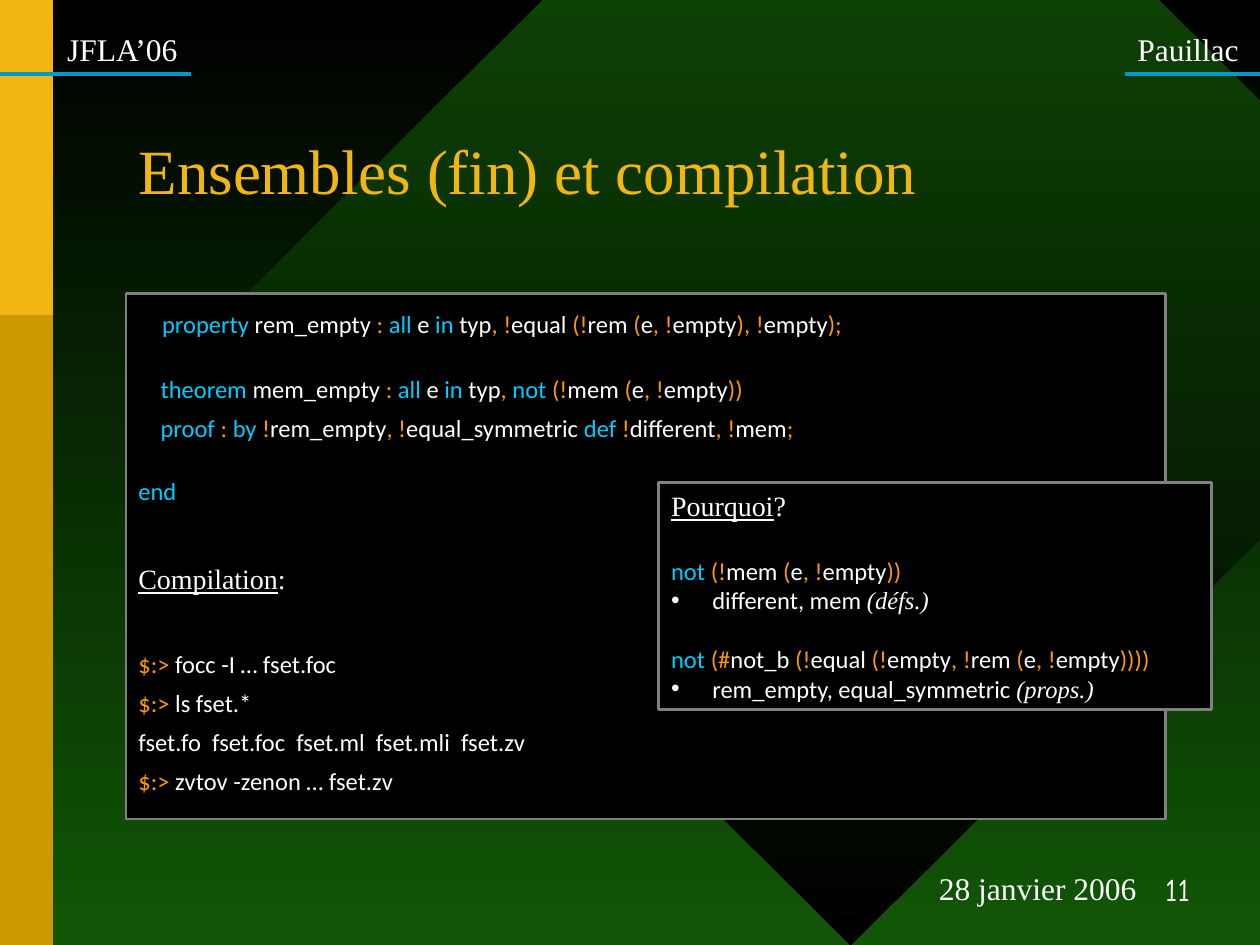
from itertools import groupby

from lxml.etree import SubElement
from pptx import Presentation
from pptx.dml.color import RGBColor
from pptx.enum.shapes import MSO_CONNECTOR, MSO_SHAPE
from pptx.enum.text import MSO_ANCHOR, MSO_AUTO_SIZE, PP_ALIGN
from pptx.oxml.ns import qn
from pptx.util import Cm, Pt

SERIF, SANS = "Times New Roman", "Calibri"
WHITE, BLACK, GREY = "FFFFFF", "000000", "808080"
GREEN, GOLD, DARK_GOLD, BLUE = "115606", "F1B60F", "CC9900", "0099CC"
KEYWORD, SYMBOL = "00CCFF", "FF9900"
KEYWORDS = {"property", "theorem", "proof", "all", "in", "not", "by", "def", "end"}
SYMBOLS = set(":,!();#$>")

LISTING = [
    (" rem_empty : all e in typ, !equal (!rem (e, !empty), !empty);", 0),
    ("    theorem mem_empty : all e in typ, not (!mem (e, !empty))", 24.5),
    ("    proof : by !rem_empty, !equal_symmetric def !different, !mem;", 10.5),
    ("end", 24),
]
COMMANDS = [
    ("$:> focc -I … fset.foc", 36),
    ("$:> ls fset.*", 10.5),
    ("fset.fo  fset.foc  fset.ml  fset.mli  fset.zv", 10.5),
    ("$:> zvtov -zenon … fset.zv", 10.5),
]
REASONS = [
    ("not (!mem (e, !empty))", 19, "different, mem ", "(défs.)"),
    ("not (#not_b (!equal (!empty, !rem (e, !empty))))", 17,
     "rem_empty, equal_symmetric ", "(props.)"),
]


def colour(value):
    """Turn a hex string into a colour."""
    return RGBColor.from_string(value)


def set_gradient(fill, first, last):
    """Fill from top to bottom with two colours."""
    fill.gradient()
    fill.gradient_angle = 270
    for stop, value in zip(fill.gradient_stops, (first, last)):
        stop.color.rgb = colour(value)


def add_run(para, text, font=SANS, size=14, value=WHITE, underline=False, italic=False):
    """Append a formatted run."""
    span = para.add_run()
    span.text = text
    span.font.name, span.font.size = font, Pt(size)
    span.font.color.rgb = colour(value)
    if underline:
        span.font.underline = True
    if italic:
        span.font.italic = True


def add_code(para, code):
    """Append code, with its keywords and symbols coloured."""
    def kind(char):
        return "space" if char == " " else "symbol" if char in SYMBOLS else "word"

    for name, chars in groupby(code, kind):
        token = "".join(chars)
        value = SYMBOL if name == "symbol" else KEYWORD if token in KEYWORDS else WHITE
        add_run(para, token, value=value)


def add_heading(para, word, mark):
    """Append an underlined word and its punctuation mark."""
    add_run(para, word, SERIF, 16, underline=True)
    add_run(para, mark, SERIF, 16)


def next_para(frame, before, spacing=None):
    """Return the first paragraph if it is unused, or else a new one."""
    para = frame.paragraphs[0] if not frame.paragraphs[0].runs else frame.add_paragraph()
    para.alignment = PP_ALIGN.LEFT
    para.space_before = Pt(before)
    if spacing:
        para.line_spacing = spacing
    return para


def add_block(page, box, preset, value=None):
    """Add a shape without outline or shadow."""
    shape = page.shapes.add_shape(preset, *map(Cm, box))
    shape.shadow.inherit = False
    shape.line.fill.background()
    if value:
        shape.fill.solid()
        shape.fill.fore_color.rgb = colour(value)
    return shape


def add_panel(page, box):
    """Add a black panel with a grey border and return its text frame."""
    shape = add_block(page, box, MSO_SHAPE.RECTANGLE, BLACK)
    shape.line.color.rgb = colour(GREY)
    shape.line.width = Pt(1.5)
    frame = shape.text_frame
    frame.word_wrap = True
    frame.vertical_anchor = MSO_ANCHOR.TOP
    return frame


def add_label(page, box, text, align=PP_ALIGN.CENTER, font=SERIF):
    """Add a one-line label without side margins."""
    frame = page.shapes.add_textbox(*map(Cm, box)).text_frame
    frame.word_wrap = True
    frame.margin_left = frame.margin_right = 0
    frame.paragraphs[0].alignment = align
    add_run(frame.paragraphs[0], text, font, 18)
    return frame


def add_backdrop(page, box):
    """Draw the background, the diamond and the gold side band."""
    left, top, width, height = box
    set_gradient(page.background.fill, BLACK, GREEN)
    diamond = add_block(page, (left + 4.45, top - 6.15, width, height + 6.15), MSO_SHAPE.DIAMOND)
    set_gradient(diamond.fill, GREEN, BLACK)
    for part, value in ((height, DARK_GOLD), (height / 3, GOLD)):
        add_block(page, (left, top, 1.07, part), MSO_SHAPE.RECTANGLE, value)


def add_header(page, box, text, text_left, text_width):
    """Add a corner label underlined by a blue rule."""
    left, top, width, height = box
    add_label(page, (left + text_left, top, text_width, height), text)
    bottom = top + height
    rule = page.shapes.add_connector(
        MSO_CONNECTOR.STRAIGHT, *map(Cm, (left, bottom, left + width, bottom)))
    rule.line.color.rgb = colour(BLUE)
    rule.line.width = Pt(2.25)
    SubElement(rule._element.spPr, qn("a:effectLst"))


def add_title(page, box, text):
    """Place and format the title above the backdrop."""
    title = page.shapes.title
    title._element.getparent().append(title._element)
    title.left, title.top, title.width, title.height = map(Cm, box)
    frame = title.text_frame
    frame.auto_size = MSO_AUTO_SIZE.NONE
    frame.vertical_anchor = MSO_ANCHOR.MIDDLE
    add_run(next_para(frame, 0, 0.85), text, SERIF, 36, GOLD)


def add_listing(page, box):
    """Add the source code and the compilation commands."""
    frame = add_panel(page, box)
    frame.margin_top = Cm(0.33)
    for code, before in LISTING:
        para = next_para(frame, before, 0.7)
        if before == 0:
            add_run(para, "   ", size=20)
            add_run(para, "property", value=KEYWORD)
        add_code(para, code)
    add_heading(next_para(frame, 38, 0.7), "Compilation", ":")
    for code, before in COMMANDS:
        add_code(next_para(frame, before, 0.7), code)


def add_explanation(page, box):
    """Add the panel that explains the proof."""
    frame = add_panel(page, box)
    add_heading(next_para(frame, 0), "Pourquoi", "?")
    for code, before, names, note in REASONS:
        add_code(next_para(frame, before), code)
        para = next_para(frame, 0)
        properties = para._p.get_or_add_pPr()
        properties.set("marL", str(Cm(0.83)))
        properties.set("indent", str(-Cm(0.83)))
        SubElement(properties, qn("a:buFont"), typeface="Arial")
        SubElement(properties, qn("a:buChar"), char="•")
        add_run(para, names)
        add_run(para, note, SERIF, italic=True)


def add_number(page, box, text):
    """Add the slide number at the bottom right."""
    frame = add_label(page, box, text, PP_ALIGN.RIGHT, "Comic Neue")
    frame.margin_right = Cm(0.78)
    frame.vertical_anchor = MSO_ANCHOR.BOTTOM


def main():
    """Build the slide and save the deck."""
    deck = Presentation()
    deck.slide_width, deck.slide_height = Cm(25.4), Cm(19.05)
    page = deck.slides.add_slide(deck.slide_layouts[5])
    add_backdrop(page, (0, 0, 25.4, 19.05))
    add_label(page, (18.67, 17.4, 4.5, 1.02), "28 janvier 2006")
    add_header(page, (0, 0.48, 3.86, 1.02), "JFLA’06", 1.07, 2.79)
    add_header(page, (22.68, 0.48, 2.72, 1.02), "Pauillac", 0, 2.54)
    add_title(page, (2.54, 2.62, 20.96, 1.83), "Ensembles (fin) et compilation")
    add_listing(page, (2.54, 5.92, 20.96, 10.59))
    add_explanation(page, (13.28, 9.73, 11.15, 4.57))
    add_number(page, (22.71, 17.58, 2.06, 0.84), "11")
    deck.save("out.pptx")


if __name__ == "__main__":
    main()
